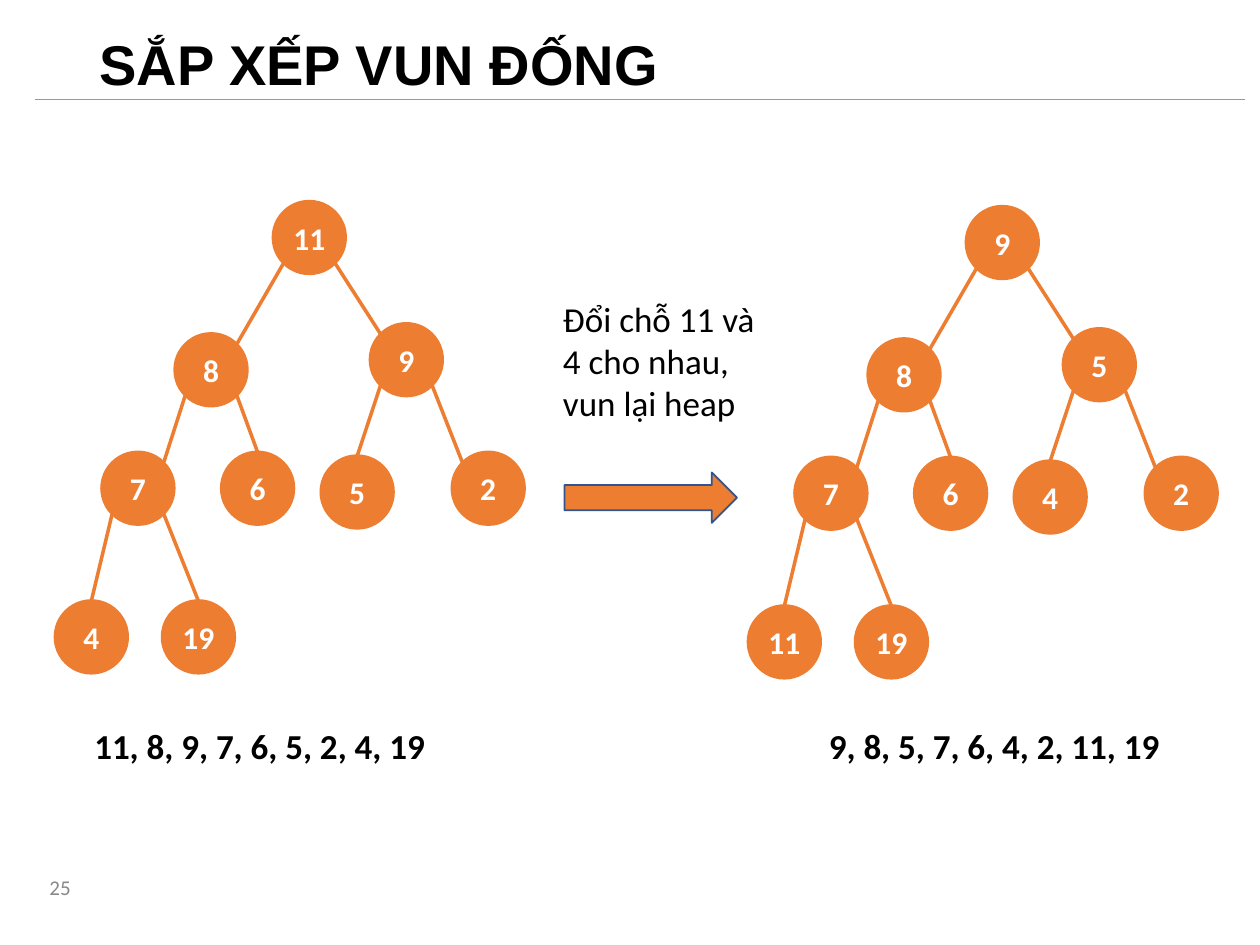
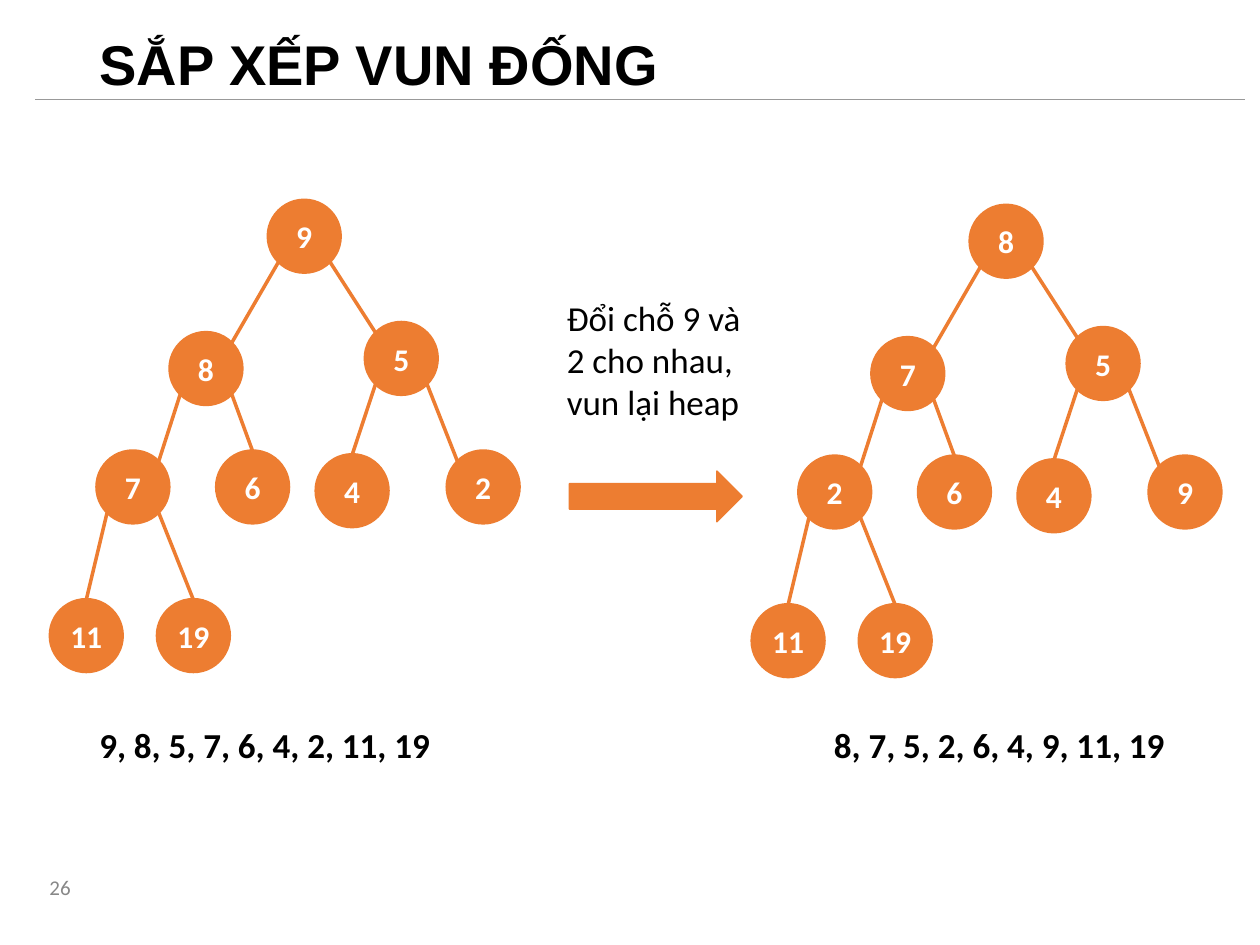
"""Build two slides that show heap sort steps as pairs of binary trees."""
from lxml import etree
from pptx import Presentation
from pptx.dml.color import RGBColor
from pptx.enum.shapes import MSO_CONNECTOR, MSO_SHAPE
from pptx.enum.text import MSO_ANCHOR, PP_ALIGN
from pptx.oxml.ns import qn
from pptx.util import Inches, Pt

STRAIGHT = MSO_CONNECTOR.STRAIGHT
CIRCLE, ARROW = MSO_SHAPE.FLOWCHART_CONNECTOR, MSO_SHAPE.RIGHT_ARROW
TOP, MIDDLE = MSO_ANCHOR.TOP, MSO_ANCHOR.MIDDLE
LEFT, CENTER, RIGHT = PP_ALIGN.LEFT, PP_ALIGN.CENTER, PP_ALIGN.RIGHT

COLORS = {"orange": "ED7D31", "blue": "31538F", "rule": "999999",
          "black": "000000", "white": "FFFFFF", "gray": "888888"}
STYLES = {
    "title": ({"name": "Arial", "size": Pt(32), "bold": True}, "black", LEFT, MIDDLE),
    "number": ({"name": "Calibri", "size": Pt(12)}, "gray", RIGHT, MIDDLE),
    "note": ({"name": "Calibri", "size": Pt(20)}, "black", LEFT, TOP),
    "sequence": ({"name": "Calibri", "size": Pt(20), "bold": True}, "black", LEFT, TOP),
    "node": ({"name": "Calibri", "size": Pt(18), "bold": True}, "white", CENTER, MIDDLE),
}

DIAMETER = 0.57
NEAR, FAR = 0.08, 0.49
NODE_OFFSETS = [(0, 0), (-0.78, 1.05), (0.77, 0.97), (-1.36, 1.99), (-0.41, 1.99),
                (0.38, 2.02), (1.42, 1.99), (-1.73, 3.17), (-0.88, 3.17)]
CORNER_ENDS = {1: FAR, 2: NEAR, 3: FAR, 6: NEAR}

STEPS = [
    {"number": 25, "note": "Đổi chỗ 11 và 4 cho nhau, vun lại heap",
     "note_at": (4.37, 2.31), "arrow_at": (4.48, 3.75), "arrow_line": "blue",
     "heaps": [((2.17, 1.6), (0.65, 5.7), 3.59, [11, 8, 9, 7, 6, 5, 2, 4, 19]),
               ((7.67, 1.64), (6.48, 5.7), 3.18, [9, 8, 5, 7, 6, 4, 2, 11, 19])]},
    {"number": 26, "note": "Đổi chỗ 9 và 2 cho nhau, vun lại heap",
     "note_at": (4.4, 2.3), "arrow_at": (4.52, 3.74), "arrow_line": "orange",
     "heaps": [((2.13, 1.59), (0.69, 5.69), 3.51, [9, 8, 5, 7, 6, 4, 2, 11, 19]),
               ((7.7, 1.63), (6.52, 5.69), 3.18, [8, 7, 5, 2, 6, 4, 9, 11, 19])]},
]


def write_text(shape, text, style):
    font_values, color, alignment, anchor = STYLES[style]
    frame = shape.text_frame
    frame.word_wrap = True
    frame.vertical_anchor = anchor
    paragraph = frame.paragraphs[0]
    paragraph.alignment = alignment
    run = paragraph.add_run()
    run.text = text
    for name, value in font_values.items():
        setattr(run.font, name, value)
    run.font.color.rgb = RGBColor.from_string(COLORS[color])


def add_line(slide, start, end, color, width):
    line = slide.shapes.add_connector(STRAIGHT, *map(Inches, (*start, *end)))
    line.line.color.rgb = RGBColor.from_string(COLORS[color])
    line.line.width = Pt(width)
    etree.SubElement(line._element.spPr, qn("a:effectLst"))
    return line


presentation = Presentation()
presentation.slide_width, presentation.slide_height = Inches(10), Inches(7.5)
orange = RGBColor.from_string(COLORS["orange"])

for step in STEPS:
    slide = presentation.slides.add_slide(presentation.slide_layouts[5])
    title = slide.shapes.title
    title_box = {"left": 0.69, "top": 0.13, "width": 8.62, "height": 0.81}
    for name, value in title_box.items():
        setattr(title, name, Inches(value))
    write_text(title, "SẮP XẾP VUN ĐỐNG", "title")
    title.text_frame.paragraphs[0].line_spacing = 0.9

    texts = [(str(step["number"]), "number", (0.16, 6.79), (0.5, 0.5)),
             (step["note"], "note", step["note_at"], (1.76, 1.11))]
    for _, sequence_at, sequence_width, values in step["heaps"]:
        sequence = ", ".join(map(str, values))
        texts.append((sequence, "sequence", sequence_at, (sequence_width, 0.44)))
    for text, style, position, size in texts:
        text_box = slide.shapes.add_textbox(*map(Inches, position + size))
        write_text(text_box, text, style)

    arrow = slide.shapes.add_shape(ARROW, *map(Inches, (*step["arrow_at"], 1.37, 0.4)))
    arrow.shadow.inherit = False
    arrow.fill.solid()
    arrow.fill.fore_color.rgb = orange
    arrow.line.color.rgb = RGBColor.from_string(COLORS[step["arrow_line"]])
    arrow.line.width = Pt(1)

    for (root_left, root_top), _, _, values in step["heaps"]:
        positions = [(root_left + x, root_top + y) for x, y in NODE_OFFSETS]
        nodes = []
        for (left, top), value in zip(positions, values):
            node = slide.shapes.add_shape(
                CIRCLE, *map(Inches, (left, top, DIAMETER, DIAMETER)))
            node.shadow.inherit = False
            node.fill.solid()
            node.fill.fore_color.rgb = orange
            node.line.color.rgb = orange
            node.line.width = Pt(2)
            for side in ("left", "top", "right", "bottom"):
                setattr(node.text_frame, f"margin_{side}", 0)
            write_text(node, str(value), "node")
            nodes.append(node)

        for child in range(1, len(nodes)):
            parent_left, parent_top = positions[(child - 1) // 2]
            child_left, child_top = positions[child]
            start = (parent_left + (NEAR if child % 2 else FAR), parent_top + FAR)
            end = (child_left + CORNER_ENDS.get(child, DIAMETER / 2), child_top + NEAR)
            edge = add_line(slide, start, end, "orange", 2)
            if child not in CORNER_ENDS:
                edge.end_connect(nodes[child], 0)

    add_line(slide, (0.28, 0.79), (9.88, 0.79), "rule", 0.75)

presentation.save("out.pptx")
